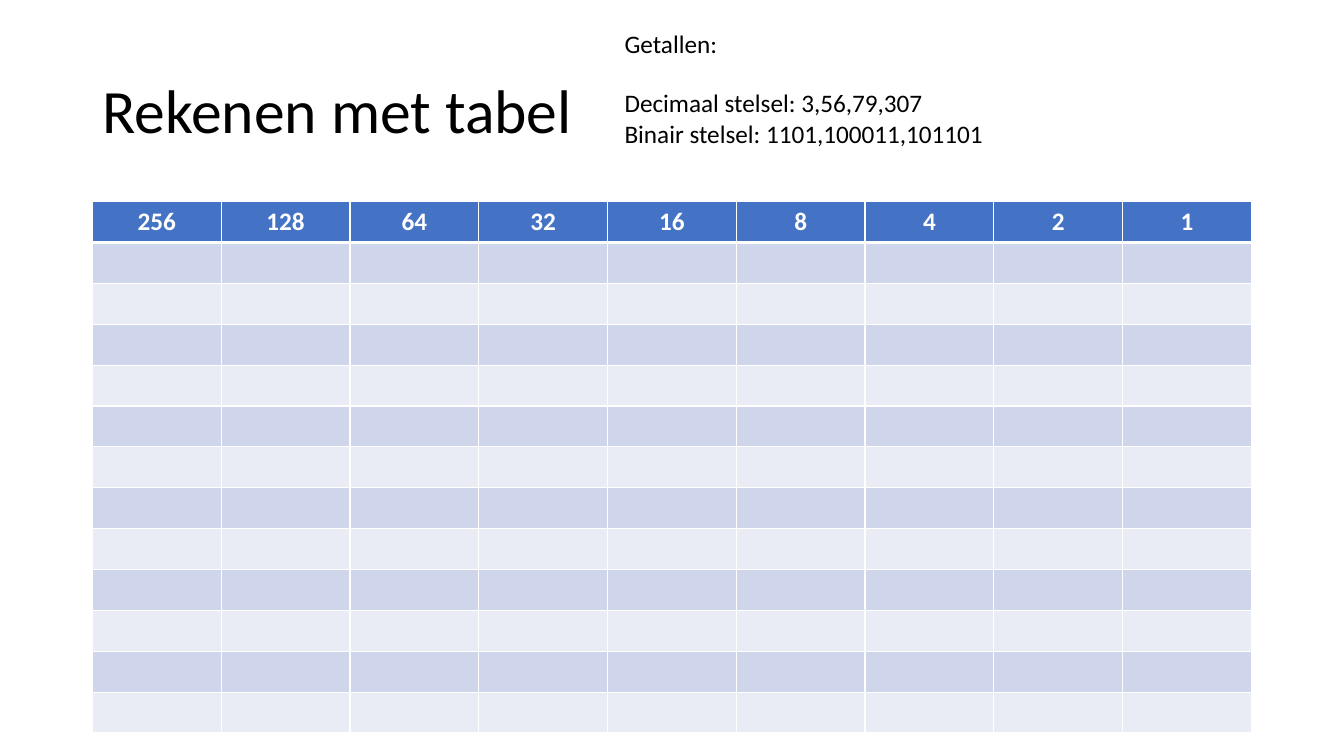
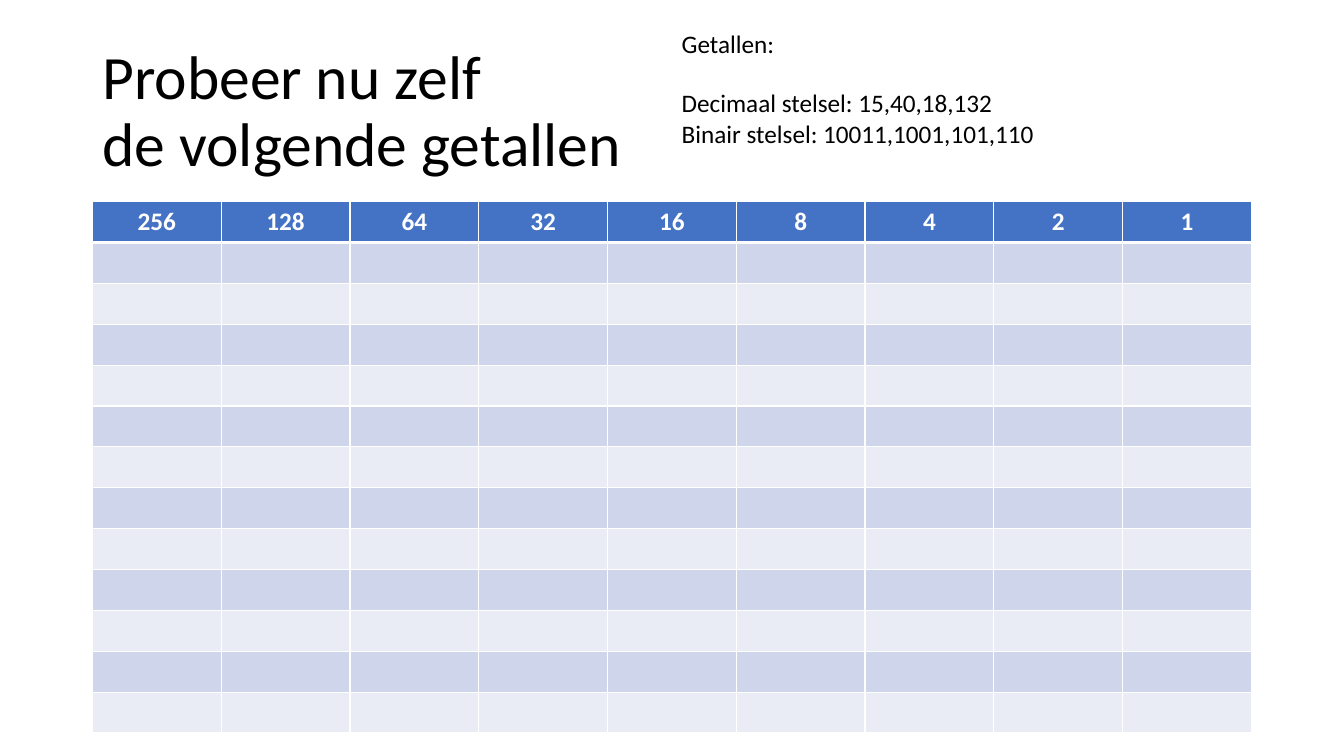
from dataclasses import dataclass

from lxml import etree
from pptx import Presentation
from pptx import util as u
from pptx.dml.color import RGBColor
from pptx.enum import text
from pptx.oxml import ns

FONT = "Calibri"
BLACK, WHITE = "000000", "FFFFFF"
HEADER_FILL = "4472C4"
BAND_FILLS = ("CFD5EA", "E9EBF5")
PLACE_VALUES = [2 ** power for power in range(8, -1, -1)]
EXERCISE_ROWS = 12
MARGIN, CONTENT_WIDTH = u.Cm(2.33), u.Cm(29.21)
ROW_HEIGHT = u.Cm(1.03)


@dataclass(frozen=True)
class Exercise:
    title: tuple[str, ...]
    decimals: str
    binaries: str
    numbers_left: float
    numbers_width: float
    wrap_numbers: bool


EXERCISES = (
    Exercise(("Rekenen met tabel",), "3,56,79,307", "1101,100011,101101", 15.49, 9.65, False),
    Exercise(("Probeer nu zelf", "de volgende getallen"), "15,40,18,132",
             "10011,1001,101,110", 16.93, 16.93, True),
)


def rgb(value: str) -> RGBColor:
    return RGBColor.from_string(value)


def add_run(paragraph, words: str, size: float, color: str = BLACK, bold: bool = False) -> None:
    run = paragraph.add_run()
    run.text = words
    run.font.name = FONT
    run.font.size = u.Pt(size)
    run.font.bold = bold
    run.font.color.rgb = rgb(color)


def add_title(slide, lines: tuple[str, ...]) -> None:
    frame = slide.shapes.add_textbox(MARGIN, u.Cm(1.01), CONTENT_WIDTH, u.Cm(3.68)).text_frame
    frame.word_wrap = True
    frame.vertical_anchor = text.MSO_ANCHOR.MIDDLE
    heading = frame.paragraphs[0]
    heading.line_spacing = 0.9
    for index, line in enumerate(lines):
        if index:
            heading.add_line_break()
        add_run(heading, line, 44)
    for line_break in heading._p.findall(ns.qn("a:br")):
        etree.SubElement(line_break, ns.qn("a:rPr"), sz="4400")


def add_numbers(slide, exercise: Exercise) -> None:
    box = slide.shapes.add_textbox(u.Cm(exercise.numbers_left), u.Cm(0.58),
                                   u.Cm(exercise.numbers_width), u.Cm(3.33))
    frame = box.text_frame
    frame.word_wrap = exercise.wrap_numbers
    frame.auto_size = text.MSO_AUTO_SIZE.SHAPE_TO_FIT_TEXT
    add_run(frame.paragraphs[0], "Getallen:", 18)
    decimal_line = frame.add_paragraph()
    decimal_line.space_before = u.Pt(21)
    add_run(decimal_line, f"Decimaal stelsel: {exercise.decimals}", 18)
    add_run(frame.add_paragraph(), f"Binair stelsel: {exercise.binaries}", 18)


def style_cell(cell, fill: str, top: float = 1, bottom: float = 1) -> None:
    cell.fill.solid()
    cell.fill.fore_color.rgb = rgb(fill)
    properties = cell._tc.get_or_add_tcPr()
    for index, (side, width) in enumerate(zip("LRTB", (1, 1, top, bottom))):
        border = etree.Element(ns.qn(f"a:ln{side}"), w=str(u.Pt(width)))
        paint = etree.SubElement(border, ns.qn("a:solidFill"))
        etree.SubElement(paint, ns.qn("a:srgbClr"), val=WHITE)
        properties.insert(index, border)


def add_place_value_table(slide) -> None:
    row_count = EXERCISE_ROWS + 1
    table = slide.shapes.add_table(row_count, len(PLACE_VALUES), MARGIN, u.Cm(5.08),
                                   CONTENT_WIDTH, ROW_HEIGHT * row_count).table
    table.horz_banding = False
    for column, value in enumerate(PLACE_VALUES):
        header = table.cell(0, column)
        style_cell(header, HEADER_FILL, bottom=3)
        label = header.text_frame.paragraphs[0]
        label.alignment = text.PP_ALIGN.CENTER
        add_run(label, str(value), 18, WHITE, bold=True)
        for row in range(1, row_count):
            style_cell(table.cell(row, column), BAND_FILLS[(row - 1) % 2],
                       top=3 if row == 1 else 1)


def main() -> None:
    deck = Presentation()
    deck.slide_width, deck.slide_height = u.Cm(33.87), u.Cm(19.05)
    for exercise in EXERCISES:
        slide = deck.slides.add_slide(deck.slide_layouts[6])
        add_title(slide, exercise.title)
        add_place_value_table(slide)
        add_numbers(slide, exercise)
    deck.save("out.pptx")


if __name__ == "__main__":
    main()
